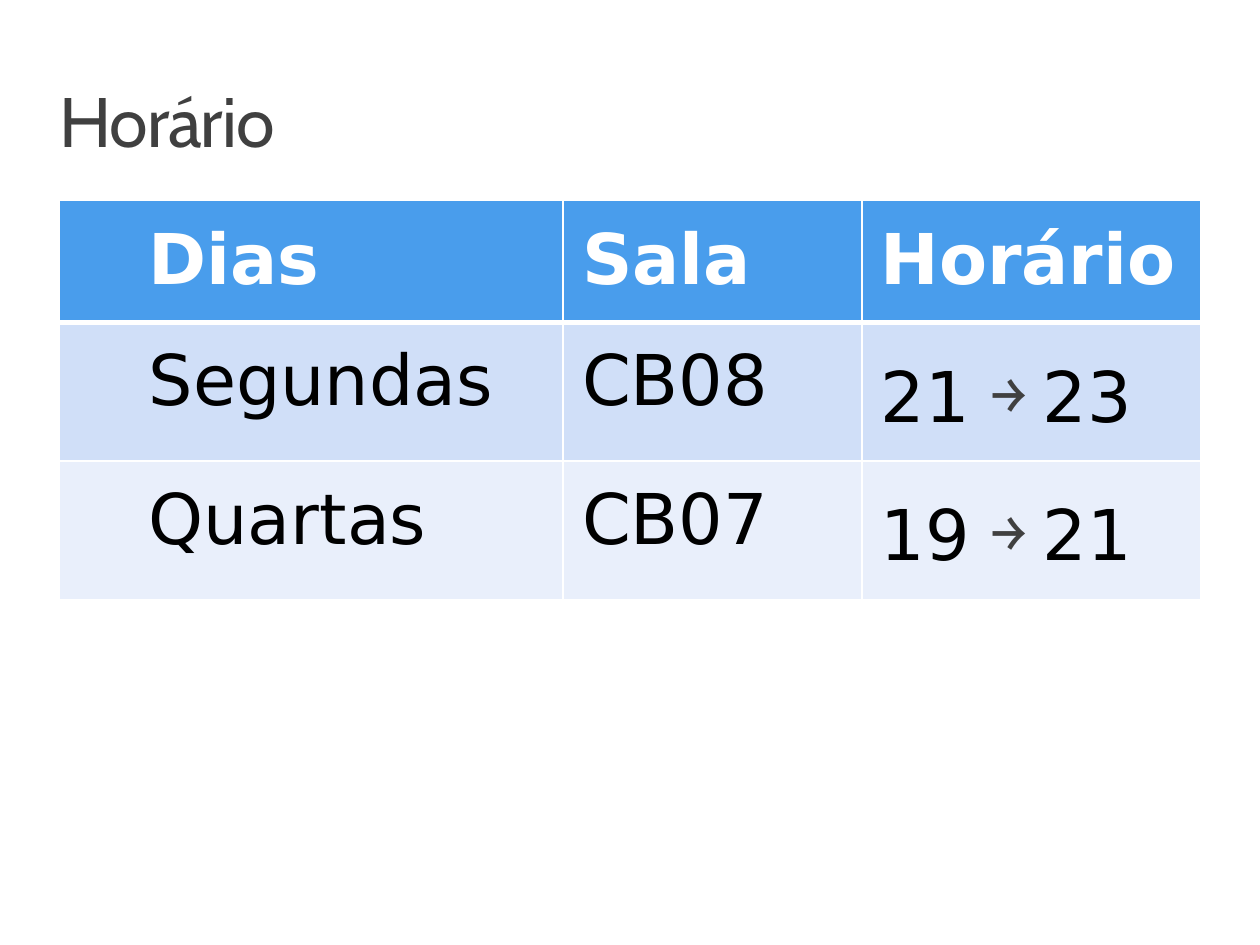
from lxml.etree import SubElement
from pptx import Presentation
from pptx.dml.color import RGBColor
from pptx.enum.text import MSO_ANCHOR
from pptx.oxml.ns import qn
from pptx.util import Inches, Pt

# Content
TITLE = "Horário"
ARROW = "￫"
ROWS = [
    [["Dias"], ["Sala"], ["Horário"]],
    [["Segundas"], ["CB08"], ["21 ", ARROW, " 23"]],
    [["Quartas"], ["CB07"], ["19 ", ARROW, " 21"]],
]

# Format
COLORS = {"title": "404040", "head": "499DEC", "odd": "D0DFF8",
          "even": "E9EFFB", "white": "FFFFFF", "black": "000000"}
TITLE_FONT = {"name": "Cabin", "size": Pt(40), "bold": False}
TABLE_FONT = {"name": "DejaVu Sans", "size": Pt(40), "bold": False}
HEAD_FONT = {**TABLE_FONT, "bold": True}
LEFT, WIDTH = 0.47, 9.06
TABLE_TOP = 1.59
COLUMN_WIDTHS = [4, 2.37, 2.69]
ROW_HEIGHTS = [0.94, 1.1, 1.1]
PADDING, FIRST_PADDING = 0.15, 0.71


def add_span(para, text, font, color):
    span = para.add_run()
    span.text = text
    for key, value in font.items():
        setattr(span.font, key, value)
    span.font.color.rgb = RGBColor.from_string(COLORS[color])
    return span


def set_margins(target, left, top, right, bottom):
    sides = {"left": left, "top": top, "right": right, "bottom": bottom}
    for side, value in sides.items():
        setattr(target, f"margin_{side}", Inches(value))


def add_border(cell, side, points):
    line = SubElement(cell._tc.get_or_add_tcPr(), qn(f"a:{side}"), w=str(Pt(points)))
    fill = SubElement(line, qn("a:solidFill"))
    SubElement(fill, qn("a:srgbClr"), val=COLORS["white"])


deck = Presentation()
deck.slide_width, deck.slide_height = Inches(10), Inches(7.5)
page = deck.slides.add_slide(deck.slide_layouts[6])

# Title
box = page.shapes.add_textbox(Inches(LEFT), Inches(0.7), Inches(WIDTH), Inches(0.89))
frame = box.text_frame
frame.word_wrap = True
frame.vertical_anchor = MSO_ANCHOR.TOP
set_margins(frame, 0, 0.04, 0, 0)
para = frame.paragraphs[0]
para.line_spacing = 0.8
title = add_span(para, TITLE, TITLE_FONT, "title")
title.font._element.set("spc", "-50")

# Timetable
table = page.shapes.add_table(
    len(ROWS), len(COLUMN_WIDTHS), Inches(LEFT), Inches(TABLE_TOP),
    Inches(WIDTH), Inches(sum(ROW_HEIGHTS))).table
for column, width in zip(table.columns, COLUMN_WIDTHS):
    column.width = Inches(width)
for row, height in zip(table.rows, ROW_HEIGHTS):
    row.height = Inches(height)

for r, row in enumerate(ROWS):
    is_head = r == 0
    band = "head" if is_head else "odd" if r % 2 else "even"
    for c, parts in enumerate(row):
        cell = table.cell(r, c)
        set_margins(cell, PADDING if c else FIRST_PADDING, PADDING, PADDING, PADDING)
        # Borders come before the fill in the cell properties
        for side in ("lnL", "lnR", "lnT", "lnB"):
            thick = (is_head and side == "lnB") or (r == 1 and side == "lnT")
            add_border(cell, side, 3 if thick else 1)
        cell.fill.solid()
        cell.fill.fore_color.rgb = RGBColor.from_string(COLORS[band])
        para = cell.text_frame.paragraphs[0]
        for part in parts:
            if part == ARROW:
                add_span(para, part, TITLE_FONT, "title")
            elif is_head:
                add_span(para, part, HEAD_FONT, "white")
            else:
                add_span(para, part, TABLE_FONT, "black")

deck.save("out.pptx")
